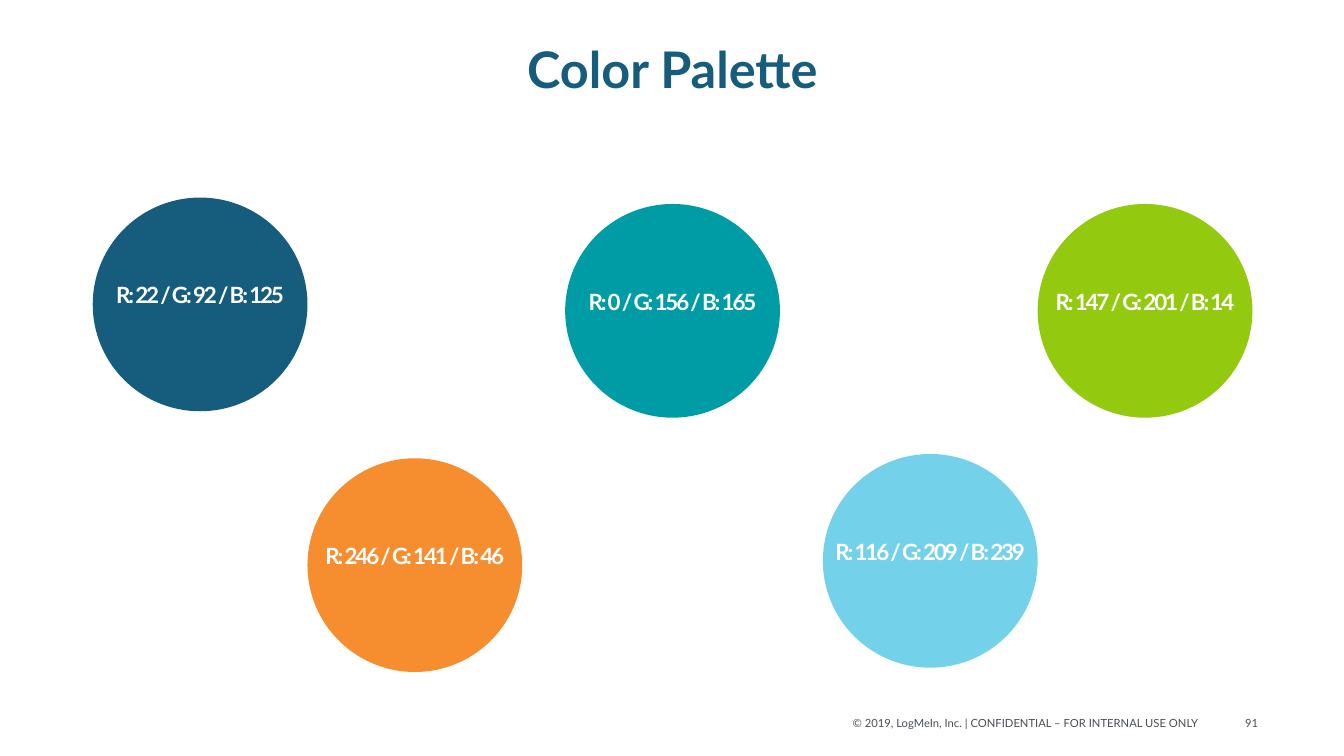
from dataclasses import dataclass

from pptx import Presentation
from pptx.dml.color import RGBColor
from pptx.enum.shapes import MSO_SHAPE
from pptx.enum.text import MSO_ANCHOR, PP_ALIGN
from pptx.util import Inches, Pt


@dataclass(frozen=True)
class Theme:
    font: str = "Lato"
    navy: str = "165C7D"
    teal: str = "009CA5"
    green: str = "93C90E"
    orange: str = "F68D2E"
    sky: str = "74D1EA"
    white: str = "FFFFFF"
    grey: str = "484E55"
    title: int = 36
    label: int = 16
    small: int = 8


THEME = Theme()

# Grid: one cell holds one circle
LEFT, TOP = 0.92, 1.96
COL, ROW = 2.13, 2.12
WIDE = 11.5
FOOT, LINE = 7.06, 0.24

# Swatches: column, row, colour, label
SWATCHES = [
    (1, 1.22, THEME.orange, "R: 246 / G: 141 / B: 46"),
    (2.2, 0.03, THEME.teal, "R: 0 / G: 156 / B: 165"),
    (0, 0, THEME.navy, "R: 22 / G: 92 / B: 125"),
    (4.4, 0.03, THEME.green, "R: 147 / G: 201 / B: 14"),
    (3.4, 1.2, THEME.sky, "R: 116 / G: 209 / B: 239"),
]


def write(frame, text, size, color, align, bold=False):
    para = frame.paragraphs[0]
    para.text = text
    para.alignment = align
    font = para.font
    font.name, font.size, font.bold = THEME.font, Pt(size), bold
    font.color.rgb = RGBColor.from_string(color)
    return para


def add_text(slide, box, text, size, color, align, bold=False, wrap=False):
    frame = slide.shapes.add_textbox(*map(Inches, box)).text_frame
    frame.word_wrap = wrap
    return write(frame, text, size, color, align, bold)


def add_swatch(slide, col, row, color, text):
    box = (LEFT + col * COL, TOP + row * ROW, COL, ROW)
    disc = slide.shapes.add_shape(MSO_SHAPE.OVAL, *map(Inches, box))
    disc.shadow.inherit = False
    disc.fill.solid()
    disc.fill.fore_color.rgb = RGBColor.from_string(color)
    disc.line.fill.background()

    # Label sits slightly above the centre
    frame = disc.text_frame
    frame.word_wrap = False
    frame.vertical_anchor = MSO_ANCHOR.MIDDLE
    frame.margin_left = frame.margin_right = 0
    frame.margin_top, frame.margin_bottom = Inches(0.1), Inches(0.26)
    para = write(frame, text, THEME.label, THEME.white, PP_ALIGN.CENTER, True)
    para.line_spacing = 0.9
    # Tight letter spacing, in hundredths of a point
    para.runs[0]._r.get_or_add_rPr().set("spc", "-150")


def main():
    deck = Presentation()
    deck.slide_width, deck.slide_height = Inches(13.33), Inches(7.5)
    slide = deck.slides.add_slide(deck.slide_layouts[6])

    # Footer
    add_text(slide, (12.25, FOOT, 0.33, LINE), "91",
             THEME.small, THEME.grey, PP_ALIGN.CENTER)
    add_text(slide, (8.35, FOOT, 3.64, LINE),
             "© 2019, LogMeIn, Inc. | CONFIDENTIAL – FOR INTERNAL USE ONLY",
             THEME.small, THEME.grey, PP_ALIGN.RIGHT)

    # Title
    title = add_text(slide, (LEFT, 0.4, WIDE, 1.29), "Color Palette",
                     THEME.title, THEME.navy, PP_ALIGN.CENTER, True, True)
    title.line_spacing = 0.9

    # Palette
    for swatch in SWATCHES:
        add_swatch(slide, *swatch)

    deck.save("out.pptx")


if __name__ == "__main__":
    main()
